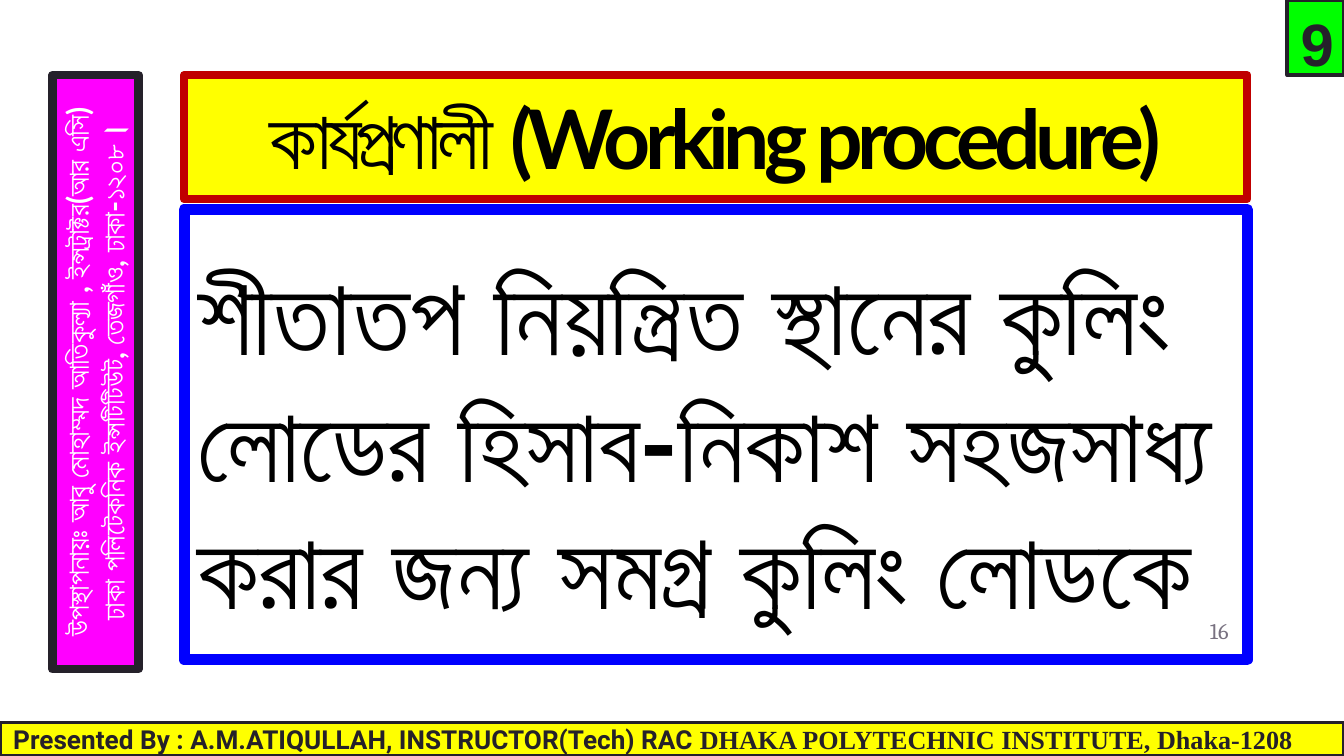
from dataclasses import dataclass

from lxml.etree import SubElement
from pptx import Presentation
from pptx.dml.color import RGBColor
from pptx.enum.shapes import MSO_SHAPE
from pptx.enum.text import MSO_ANCHOR, MSO_AUTO_SIZE, PP_ALIGN
from pptx.oxml.ns import qn
from pptx.util import Cm, Pt


@dataclass(frozen=True)
class Theme:
    black: str = "000000"
    white: str = "FFFFFF"
    dark: str = "25212A"
    gray: str = "797281"
    yellow: str = "FFFF00"
    red: str = "C00000"
    blue: str = "0000FF"
    pink: str = "FF00FF"
    green: str = "00FF00"
    title: int = 44
    badge: int = 32
    side: int = 16
    foot: int = 14
    page: int = 12
    body: tuple = (58, 56, 57)


THEME = Theme()
INSET = Cm(0.25)
WIDTH, HEIGHT = Cm(25.4), Cm(14.29)


def place(shape, left, top, width, height):
    spot = {"left": left, "top": top, "width": width, "height": height}
    for name, value in spot.items():
        setattr(shape, name, Cm(value))


def paint(shape, fill, edge, weight):
    """Fill a shape, or leave it clear, and give it a round-cornered outline."""
    if fill:
        shape.fill.solid()
        shape.fill.fore_color.rgb = RGBColor.from_string(fill)
    else:
        shape.fill.background()
    shape.line.color.rgb = RGBColor.from_string(edge)
    shape.line.width = Pt(weight)
    SubElement(shape.line._get_or_add_ln(), qn("a:round"))


def box(slide, spot, fill, edge, weight):
    shape = slide.shapes.add_shape(MSO_SHAPE.RECTANGLE, 0, 0, 0, 0)
    place(shape, *spot)
    shape.shadow.inherit = False
    paint(shape, fill, edge, weight)
    return shape


def frame(shape, **form):
    base = {"word_wrap": True, "auto_size": MSO_AUTO_SIZE.NONE,
            "vertical_anchor": MSO_ANCHOR.TOP}
    for name, value in {**base, **form}.items():
        setattr(shape.text_frame, name, value)


def inset(top=INSET):
    return {"margin_left": INSET, "margin_right": INSET,
            "margin_top": top, "margin_bottom": INSET}


def write(shape, lines, align):
    """Write paragraphs, each a list of (text, font, size, colour, bold)."""
    text = shape.text_frame
    for i, parts in enumerate(lines):
        para = text.add_paragraph() if i else text.paragraphs[0]
        para.alignment = align
        para.space_before = Pt(0)
        for words, font, size, color, bold in parts:
            run = para.add_run()
            run.text = words
            form = {"name": font, "size": Pt(size), "bold": bold}
            for name, value in form.items():
                setattr(run.font, name, value)
            run.font.color.rgb = RGBColor.from_string(color)


def squeeze(shape, points):
    """Set the letter spacing of all runs."""
    for para in shape.text_frame.paragraphs:
        for run in para.runs:
            run.font._element.set("spc", str(points * 100))


def add_title(slide):
    title = slide.shapes.title
    place(title, 3.48, 1.42, 20.09, 2.34)
    paint(title, THEME.yellow, THEME.red, 4.5)
    frame(title, vertical_anchor=MSO_ANCHOR.BOTTOM, **inset())
    words = "কার্যপ্রণালী (Working procedure)"
    write(title, [[(words, "Lato", THEME.title, THEME.black, True)]],
          PP_ALIGN.CENTER)
    squeeze(title, -3)


def add_body(slide):
    body = slide.placeholders[1]
    place(body, 3.48, 3.96, 20.09, 8.51)
    paint(body, None, THEME.blue, 6)
    frame(body, **inset(top=Cm(0.72)))
    lines = ("শীতাতপ নিয়ন্ত্রিত স্থানের কুলিং",
             "লোডের হিসাব-নিকাশ সহজসাধ্য",
             "করার জন্য সমগ্র কুলিং লোডকে")
    write(body, [[(line, "Lato", size, THEME.black, True)]
                 for line, size in zip(lines, THEME.body)], PP_ALIGN.JUSTIFY)


def add_page(slide):
    page = slide.shapes.add_textbox(0, 0, 0, 0)
    place(page, 21.95, 11.38, 1.52, 1.09)
    frame(page, vertical_anchor=MSO_ANCHOR.MIDDLE, **inset())
    write(page, [[("16", "Cambria", THEME.page, THEME.gray, False)]],
          PP_ALIGN.RIGHT)


def add_side(slide):
    side = box(slide, (-3.81, 6.22, 11.23, 1.63), THEME.pink, THEME.dark, 4.5)
    side.rotation = 270
    frame(side, auto_size=MSO_AUTO_SIZE.SHAPE_TO_FIT_TEXT)
    lines = ("উপস্থাপনায়ঃ আবু মোহাম্মদ আতিকুল্যা , ইন্সট্রাক্টর(আর এসি)",
             "ঢাকা পলিটেকনিক ইন্সটিটিউট, তেজগাঁও, ঢাকা-১২০৮।")
    write(side, [[(line, "Lato", THEME.side, THEME.white, True)]
                 for line in lines], PP_ALIGN.CENTER)


def add_foot(slide):
    foot = box(slide, (0, 13.66, 25.4, 0.63), THEME.yellow, THEME.dark, 2)
    frame(foot, vertical_anchor=MSO_ANCHOR.MIDDLE)
    parts = (("Presented By : A.M.ATIQULLAH, INSTRUCTOR(Tech) RAC ", "Roboto"),
             ("DHAKA POLYTECHNIC INSTITUTE, Dhaka-1208", "Times New Roman"))
    write(foot, [[(words, font, THEME.foot, THEME.dark, True)
                  for words, font in parts]], PP_ALIGN.LEFT)


def add_badge(slide):
    badge = box(slide, (24.33, 0, 1.07, 1.42), THEME.green, THEME.dark, 2)
    frame(badge)
    write(badge, [[("9", "Arial", THEME.badge, THEME.dark, True)]],
          PP_ALIGN.LEFT)
    squeeze(badge, -3)


def main():
    deck = Presentation()
    deck.slide_width, deck.slide_height = WIDTH, HEIGHT
    slide = deck.slides.add_slide(deck.slide_layouts[0])
    for add in (add_title, add_body, add_page, add_side, add_foot, add_badge):
        add(slide)
    deck.save("out.pptx")


if __name__ == "__main__":
    main()
